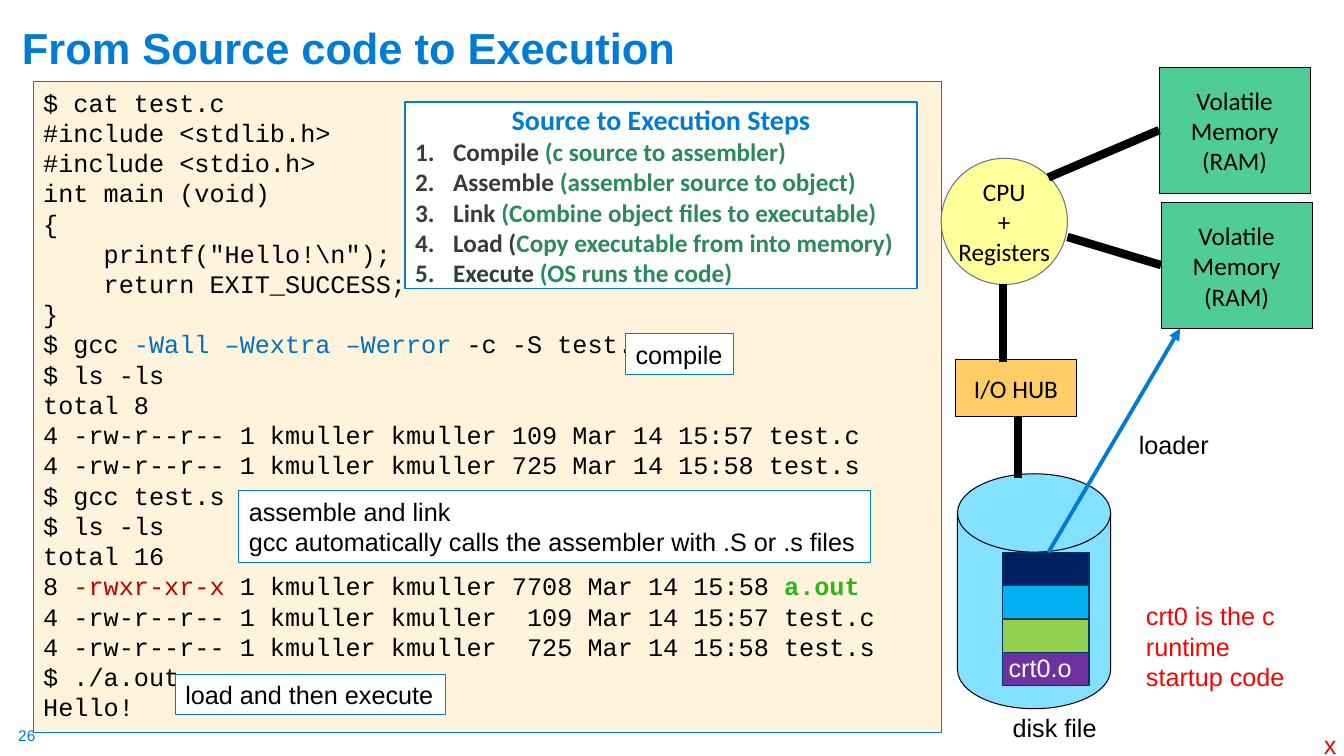
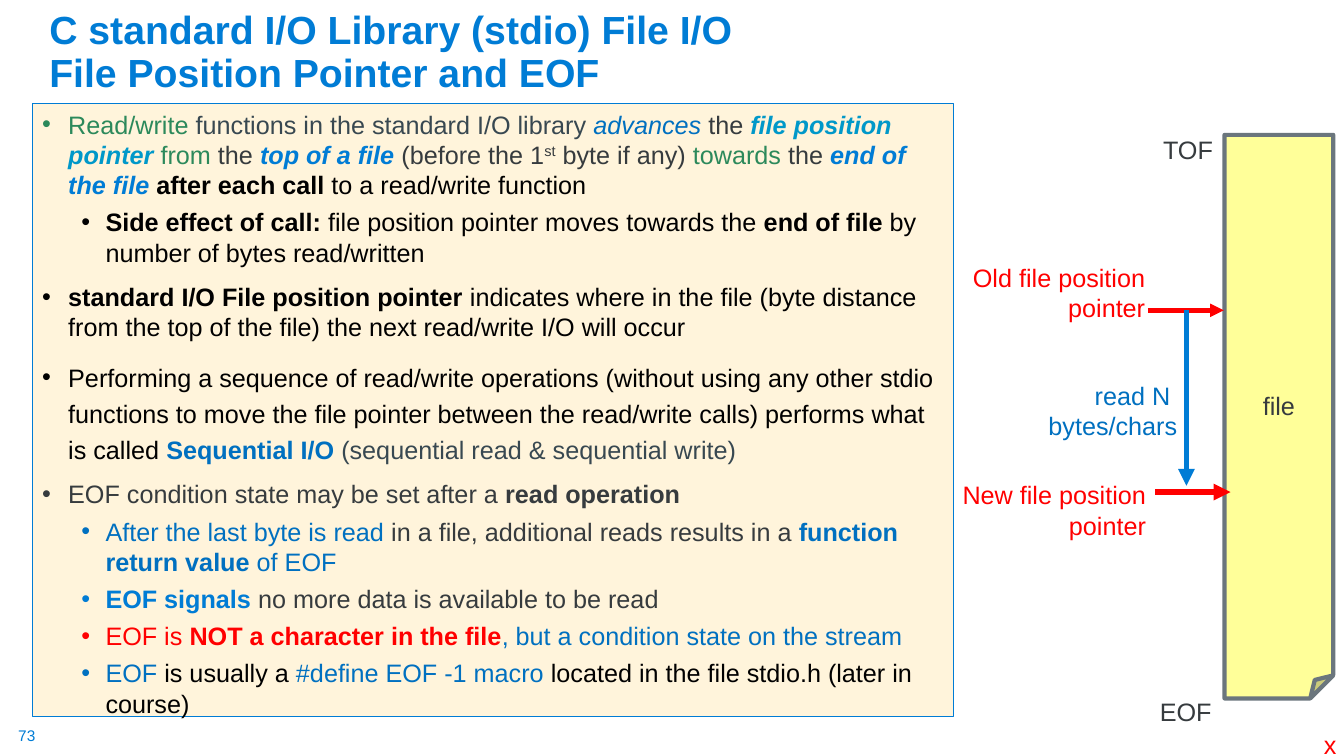
"""Builds two lecture slides on running C programs and the stdio file position."""
from lxml import etree
from pptx import Presentation
from pptx import util as u
from pptx.dml.color import RGBColor
from pptx.enum import shapes, text
from pptx.oxml.ns import qn

COLORS = {
    "black": "000000", "white": "FFFFFF", "red": "FF0000", "blue": "007CD5",
    "link": "0070C0", "cyan": "0098C9", "green": "2C895B", "dark": "363B3E",
    "slate": "384851", "gray": "6B767D", "cream": "FFF4DB", "yellow": "FFFF99",
    "mint": "50CC97", "orange": "FFCC66", "disk": "83E1FF", "navy": "00365D",
    "crimson": "C00000", "lime": "2FB41D", "block 1": "002060",
    "block 2": "00B0F0", "block 3": "92D050", "block 4": "7030A0",
}
RGB = {name: RGBColor.from_string(code) for name, code in COLORS.items()}
PRESET = shapes.MSO_SHAPE
ALIGN = text.PP_ALIGN
MIDDLE = text.MSO_ANCHOR.MIDDLE
INDENTS = {"number": (0.96, 0.96), "main": (0.66, 0.66), "sub": (1.6, 0.61)}


def add_box(page, at, preset=None, fill=None, line=None, width=0.75,
            anchor=text.MSO_ANCHOR.TOP, wrap=False, pad=(0.25, 0.13)):
    """Adds a shape, or a text box when no preset is given."""
    place = [u.Cm(value) for value in at]
    if preset is None:
        box = page.shapes.add_textbox(*place)
    else:
        box = page.shapes.add_shape(preset, *place)
        box.shadow.inherit = False
        box.fill.solid()
        box.fill.fore_color.rgb = RGB[fill]
        box.line.color.rgb = RGB[line]
        box.line.width = u.Pt(width)
    frame = box.text_frame
    frame.word_wrap = wrap
    frame.vertical_anchor = anchor
    frame.margin_left = frame.margin_right = u.Cm(pad[0])
    frame.margin_top = frame.margin_bottom = u.Cm(pad[1])
    return box


def write(box, runs, size=18, font="Arial", color="black", bold=False,
          align=ALIGN.LEFT, bullet=None, before=0, spacing=1.0):
    """Adds one paragraph; runs is a string or (words, color, look) tuples."""
    frame = box.text_frame
    first = not frame.paragraphs[0].runs
    para = frame.paragraphs[0] if first else frame.add_paragraph()
    para.alignment = align
    para.line_spacing = spacing
    para.space_before = u.Pt(0 if first else before)
    if bullet:
        left, hanging = INDENTS[bullet]
        props = para._p.get_or_add_pPr()
        props.set("marL", str(u.Cm(left)))
        props.set("indent", str(-u.Cm(hanging)))
        if bullet == "number":
            etree.SubElement(props, qn("a:buAutoNum"), type="arabicPeriod")
        else:
            etree.SubElement(props, qn("a:buFont"), typeface="Arial")
            etree.SubElement(props, qn("a:buChar"), char="•")
    if isinstance(runs, str):
        runs = [(runs, color, "")]
    for words, tint, look in runs:
        span = para.add_run()
        span.text = words
        span.font.name = font
        span.font.size = u.Pt(size)
        span.font.color.rgb = RGB[tint]
        span.font.bold = bold or "b" in look
        span.font.italic = "i" in look
        if "^" in look:
            span.font._element.set("baseline", "30000")


deck = Presentation()
deck.slide_width, deck.slide_height = u.Cm(33.87), u.Cm(19.05)

pages = []
for number, heading, size, at in [
    ("26", "From Source code to Execution", 31, (0.3, 0.28, 29.21, 1.7)),
    ("73", "C standard I/O Library (stdio) File I/O\vFile Position Pointer and EOF",
     28, (0.99, 0.15, 30.94, 2.39)),
]:
    page = deck.slides.add_slide(deck.slide_layouts[5])
    title = page.shapes.title
    title.left, title.top, title.width, title.height = [u.Cm(v) for v in at]
    title.text_frame.text = heading
    title.text_frame.auto_size = text.MSO_AUTO_SIZE.NONE
    title.text_frame.vertical_anchor = text.MSO_ANCHOR.BOTTOM
    para = title.text_frame.paragraphs[0]
    para.alignment = ALIGN.LEFT
    para.line_spacing = 0.9
    for span in para.runs:
        span.font.name, span.font.size, span.font.bold = "Arial", u.Pt(size), True
        span.font.color.rgb = RGB["blue"]
    write(add_box(page, (0.46, 18.31, 0.6, 0.48), pad=(0, 0)), number,
          size=11, color="blue")
    write(add_box(page, (33.17, 18.37, 0.7, 0.68), pad=(0, 0)), "x",
          color="red", align=ALIGN.CENTER)
    pages.append(page)
execution, position = pages

code = add_box(execution, (0.84, 2.06, 22.89, 16.41), PRESET.RECTANGLE,
               "cream", "blue", wrap=True)
for row in [
    "$ cat test.c",
    "#include <stdlib.h>",
    "#include <stdio.h>",
    "int main (void)",
    "{",
    '    printf("Hello!\\n");',
    "    return EXIT_SUCCESS;",
    "}",
    [("$ gcc ", "black", ""), ("-Wall –Wextra –Werror ", "link", ""),
     ("-c -S test.c", "black", "")],
    "$ ls -ls",
    "total 8",
    "4 -rw-r--r-- 1 kmuller kmuller 109 Mar 14 15:57 test.c",
    "4 -rw-r--r-- 1 kmuller kmuller 725 Mar 14 15:58 test.s",
    "$ gcc test.s",
    "$ ls -ls",
    "total 16",
    [("8 ", "black", ""), ("-rwxr-xr-x ", "crimson", ""),
     ("1 kmuller kmuller 7708 Mar 14 15:58 ", "black", ""),
     ("a.out", "lime", "b")],
    "4 -rw-r--r-- 1 kmuller kmuller  109 Mar 14 15:57 test.c",
    "4 -rw-r--r-- 1 kmuller kmuller  725 Mar 14 15:58 test.s",
    "$ ./a.out",
    "Hello!",
]:
    write(code, row, font="Courier New")

steps = add_box(execution, (10.21, 2.57, 12.9, 4.7), PRESET.RECTANGLE, "white",
                "blue", width=1, anchor=MIDDLE, wrap=True, pad=(0.25, 0))
write(steps, "Source to Execution Steps", size=20, font="Calibri", color="blue",
      bold=True, align=ALIGN.CENTER)
for step, detail in [
    ("Compile ", "(c source to assembler)"),
    ("Assemble ", "(assembler source to object)"),
    ("Link ", "(Combine object files to executable)"),
    ("Load (", "Copy executable from into memory)"),
    ("Execute ", "(OS runs the code)"),
]:
    write(steps, [(step, "dark", ""), (detail, "green", "")], font="Calibri",
          bold=True, bullet="number")

for at, rows in [
    ((15.77, 8.41, 2.72, 1.02), ["compile"]),
    ((6.02, 12.37, 15.93, 1.8),
     ["assemble and link",
      "gcc automatically calls the assembler with .S or .s files"]),
    ((4.42, 16.99, 6.81, 1.02), ["load and then execute"]),
]:
    callout = add_box(execution, at, PRESET.RECTANGLE, "white", "blue")
    for row in rows:
        write(callout, row)

for at, preset, fill, line, rows in [
    ((23.72, 3.99, 3.18, 3.18), PRESET.OVAL, "yellow", "gray",
     ["CPU", "+", "Registers"]),
    ((29.21, 1.7, 3.81, 3.18), PRESET.RECTANGLE, "mint", "black",
     ["Volatile", "Memory", "(RAM)"]),
    ((29.26, 5.11, 3.81, 3.18), PRESET.RECTANGLE, "mint", "black",
     ["Volatile", "Memory", "(RAM)"]),
    ((24.08, 9.07, 3.05, 1.42), PRESET.RECTANGLE, "orange", "black", ["I/O HUB"]),
]:
    part = add_box(execution, at, preset, fill, line, anchor=MIDDLE)
    for row in rows:
        write(part, row, font="Calibri", align=ALIGN.CENTER)

add_box(execution, (24.13, 11.94, 3.86, 5.92), PRESET.FLOWCHART_MAGNETIC_DISK,
        "disk", "black")
for index in range(4):
    add_box(execution, (25.27, 13.92 + 0.84 * index, 2.18, 0.84), PRESET.RECTANGLE,
            f"block {index + 1}", "navy", width=1)

notice = "crt0 is the c runtime startup code"
for page, at, rows, color, align, wrap in [
    (execution, (28.45, 10.69, 5.31, 1.02), ["loader"], "black", ALIGN.LEFT, True),
    (execution, (25.27, 17.81, 2.64, 1.02), ["disk file"], "black", ALIGN.LEFT, False),
    (execution, (25.17, 16.31, 2.11, 1.02), ["crt0.o"], "white", ALIGN.LEFT, False),
    (execution, (28.63, 15.01, 4.04, 2.57), [notice], "red", ALIGN.LEFT, True),
    (position, (24.08, 6.48, 5.03, 1.8), ["Old file position pointer"], "red",
     ALIGN.RIGHT, True),
    (position, (23.14, 11.96, 5.99, 1.8), ["New file position pointer"], "red",
     ALIGN.RIGHT, True),
    (position, (26.14, 9.45, 3.78, 1.8), ["read N ", "bytes/chars"], "link",
     ALIGN.RIGHT, False),
    (position, (29.06, 3.25, 1.91, 1.02), ["TOF"], "dark", ALIGN.LEFT, True),
    (position, (28.98, 17.42, 1.91, 1.02), ["EOF"], "dark", ALIGN.LEFT, True),
]:
    label = add_box(page, at, wrap=wrap)
    for row in rows:
        write(label, row, color=color, align=align)

body = add_box(position, (0.81, 2.62, 23.22, 15.44), PRESET.RECTANGLE,
               "cream", "blue", wrap=True)
for level, spacing, runs in [
    ("main", 1.0, [
        ("Read/write ", "green", ""),
        ("functions in the standard I/O library ", "slate", ""),
        ("advances ", "link", "i"), ("the ", "dark", ""),
        ("file position pointer ", "cyan", "bi"), ("from", "green", ""),
        (" the ", "dark", ""), ("top of a file ", "blue", "bi"),
        ("(before the 1", "dark", ""), ("st", "dark", "^"),
        (" byte if any) ", "dark", ""), ("towards", "green", ""),
        (" the ", "dark", ""), ("end of the file ", "blue", "bi"),
        ("after each call ", "black", "b"),
        ("to a read/write function", "black", "")]),
    ("sub", 1.0, [
        ("Side effect of call: ", "black", "b"),
        ("file position pointer moves towards the ", "black", ""),
        ("end of file", "black", "b"),
        (" by number of bytes read/written", "black", "")]),
    ("main", 1.0, [
        ("standard I/O File position pointer ", "black", "b"),
        ("indicates where in the file (byte distance from the top of the file) "
         "the next read/write I/O will occur", "black", "")]),
    ("main", 1.2, [
        ("Performing a sequence of read/write operations (without using any other "
         "stdio functions to move the file pointer between the read/write calls) "
         "performs what is called ", "black", ""),
        ("Sequential I/O ", "link", "b"),
        ("(sequential read & sequential write)", "slate", "")]),
    ("main", 1.0, [
        ("EOF condition state may be set after a ", "dark", ""),
        ("read operation", "dark", "b")]),
    ("sub", 1.0, [
        ("After the last byte is read ", "link", ""),
        ("in a file, additional reads results in a ", "dark", ""),
        ("function return value ", "link", "b"), ("of EOF", "link", "")]),
    ("sub", 1.0, [
        ("EOF signals ", "blue", "b"),
        ("no more data is available to be read", "dark", "")]),
    ("sub", 1.0, [
        ("EOF is ", "red", ""), ("NOT a character in the file", "red", "b"),
        (", but a condition state on the stream", "link", "")]),
    ("sub", 1.0, [
        ("EOF ", "link", ""), ("is usually a ", "black", ""),
        ("#define EOF -1 macro ", "link", ""),
        ("located in the file stdio.h (later in course)", "black", "")]),
]:
    write(body, runs, bullet=level, before=10 if level == "main" else 5,
          spacing=spacing)

sheet = add_box(position, (30.86, 3.4, 2.74, 14.2), PRESET.FOLDED_CORNER, "yellow",
                "gray", width=3, anchor=MIDDLE)
geometry = sheet._element.spPr.find(qn("a:prstGeom"))
fold = geometry.find(qn("a:avLst"))
if fold is None:
    fold = etree.SubElement(geometry, qn("a:avLst"))
etree.SubElement(fold, qn("a:gd"), name="adj", fmla="val 21200")
write(sheet, "file", color="dark", align=ALIGN.CENTER)

for page, ends, color, width, arrow in [
    (execution, (26.42, 4.47, 29.21, 3.28), "black", 6, False),
    (execution, (26.9, 5.97, 29.26, 6.68), "black", 6, False),
    (execution, (25.65, 10.49, 25.65, 12.04), "black", 6, False),
    (execution, (25.27, 7.16, 25.27, 9.12), "black", 6, False),
    (execution, (26.42, 13.92, 29.74, 8.28), "blue", 2.75, True),
    (position, (28.93, 7.82, 30.84, 7.82), "red", 3.25, True),
    (position, (29.11, 12.4, 31.01, 12.4), "red", 4, True),
    (position, (29.9, 7.82, 29.9, 12.24), "blue", 4, True),
]:
    link = page.shapes.add_connector(shapes.MSO_CONNECTOR.STRAIGHT,
                                     *[u.Cm(value) for value in ends])
    link.line.color.rgb = RGB[color]
    link.line.width = u.Pt(width)
    props = link._element.spPr
    if arrow:
        etree.SubElement(props.find(qn("a:ln")), qn("a:tailEnd"), type="triangle")
    etree.SubElement(props, qn("a:effectLst"))

deck.save("out.pptx")
